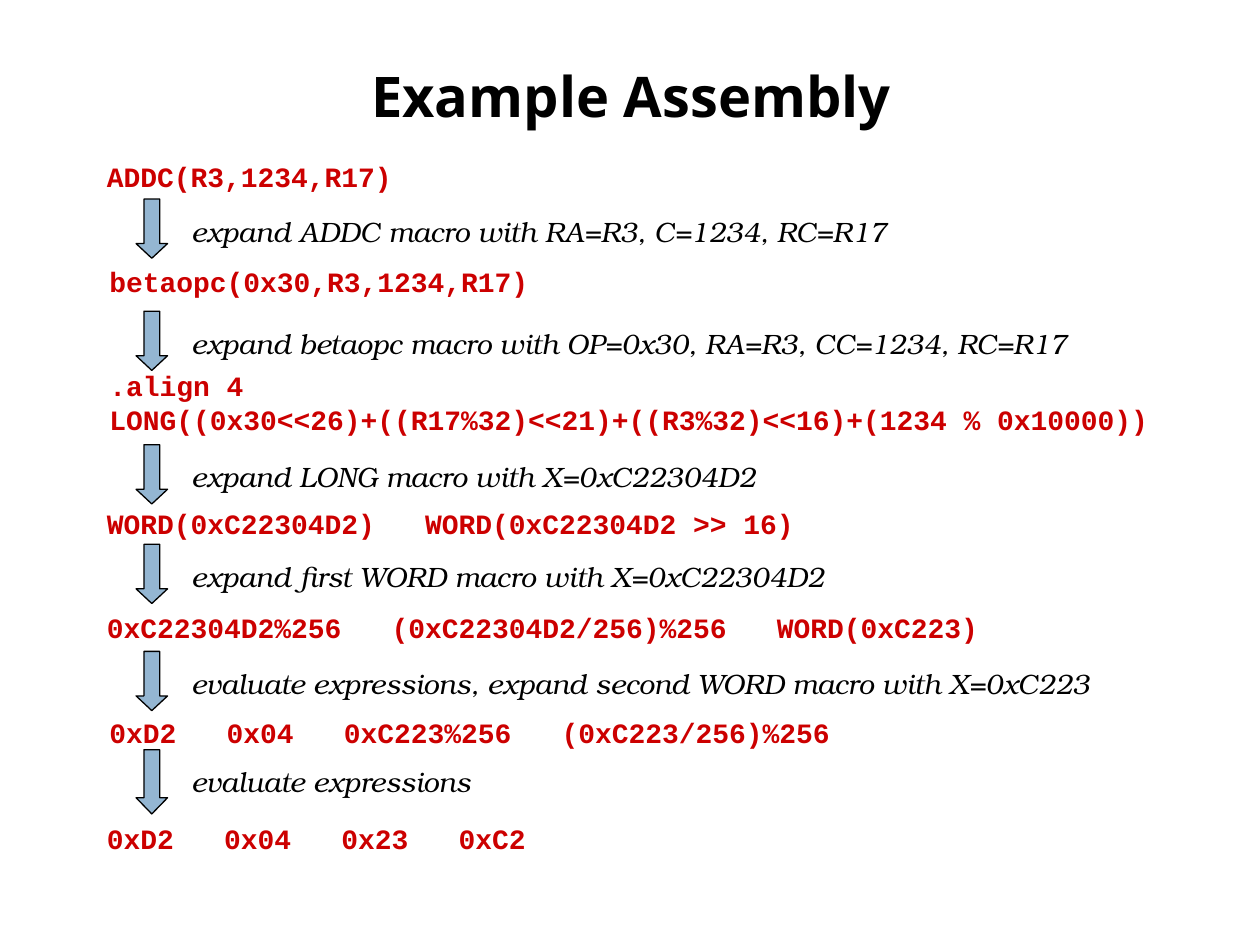
import pptx
import pptx.dml.color
import pptx.enum.shapes
import pptx.enum.text
import pptx.util

Inches = pptx.util.Inches
Pt = pptx.util.Pt
RGBColor = pptx.dml.color.RGBColor

BLACK = RGBColor(0x00, 0x00, 0x00)
RED = RGBColor(0xCC, 0x00, 0x00)
BLUE = RGBColor(0x94, 0xB6, 0xD2)

# Each step: arrow top, arrow height, head ratio,
# note and its width, then code, its left, top and width.
STEPS = [
    (1.58, 0.47, 0.465,
     "expand ADDC macro with RA=R3, C=1234, RC=R17", 5.87,
     "betaopc(0x30,R3,1234,R17)", 0.77, 2.05, 3.53),
    (2.47, 0.47, 0.465,
     "expand betaopc macro with OP=0x30, RA=R3, CC=1234, RC=R17", 7.4,
     ".align 4\n"
     "LONG((0x30<<26)+((R17%32)<<21)+((R3%32)<<16)+(1234 % 0x10000))",
     0.77, 2.88, 8.47),
    (3.53, 0.47, 0.465,
     "expand LONG macro with X=0xC22304D2", 4.85,
     "WORD(0xC22304D2)   WORD(0xC22304D2 >> 16)", 0.75, 3.97, 5.8),
    (4.32, 0.47, 0.465,
     "expand first WORD macro with X=0xC22304D2", 5.38,
     "0xC22304D2%256   (0xC22304D2/256)%256   WORD(0xC223)",
     0.75, 4.8, 7.27),
    (5.17, 0.47, 0.465,
     "evaluate expressions, expand second WORD macro with X=0xC223", 7.52,
     "0xD2   0x04   0xC223%256   (0xC223/256)%256", 0.77, 5.63, 6.07),
    (5.95, 0.51, 0.514,
     "evaluate expressions", 2.52,
     "0xD2   0x04   0x23   0xC2", 0.75, 6.47, 3.53),
]


class Deck:
    title_font = "Open Sans"
    code_font = "Courier New"
    note_font = "TeX Gyre Bonum"
    size = 16

    def __init__(self):
        self.file = pptx.Presentation()
        self.file.slide_width = Inches(10)
        self.file.slide_height = Inches(7.5)
        self.slide = self.file.slides.add_slide(self.file.slide_layouts[5])

    def style(self, frame, name, size, color, bold=False, italic=False):
        for para in frame.paragraphs:
            for run in para.runs:
                font = run.font
                font.name, font.size = name, Pt(size)
                font.bold, font.italic = bold, italic
                font.color.rgb = color

    def title(self, text):
        shape = self.slide.shapes.title
        shape.left, shape.top = Inches(0.76), Inches(0.42)
        shape.width, shape.height = Inches(8.5), Inches(0.67)
        frame = shape.text_frame
        frame.text = text
        frame.vertical_anchor = pptx.enum.text.MSO_ANCHOR.MIDDLE
        frame.paragraphs[0].alignment = pptx.enum.text.PP_ALIGN.CENTER
        self.style(frame, self.title_font, 32, BLACK, bold=True)

    def text(self, shapes, text, left, top, width):
        """Add a box one line of text high for each line, and return its frame."""
        high = 0.37 + 0.27 * text.count("\n")
        box = shapes.add_textbox(
            Inches(left), Inches(top), Inches(width), Inches(high))
        frame = box.text_frame
        frame.text = text
        frame.word_wrap = False
        frame.auto_size = pptx.enum.text.MSO_AUTO_SIZE.SHAPE_TO_FIT_TEXT
        return frame

    def code(self, shapes, text, left, top, width):
        frame = self.text(shapes, text, left, top, width)
        self.style(frame, self.code_font, self.size, RED, bold=True)

    def note(self, shapes, text, top, width):
        frame = self.text(shapes, text, 1.42, top, width)
        self.style(frame, self.note_font, self.size, BLACK, italic=True)

    def arrow(self, shapes, top, high, head):
        shape = shapes.add_shape(
            pptx.enum.shapes.MSO_SHAPE.DOWN_ARROW,
            Inches(1.08), Inches(top), Inches(0.25), Inches(high))
        shape.adjustments[0] = 0.5
        shape.adjustments[1] = head
        shape.shadow.inherit = False
        shape.fill.solid()
        shape.fill.fore_color.rgb = BLUE
        shape.line.color.rgb = BLACK
        shape.line.width = Pt(0.75)

    def step(self, top, high, head, note, wide, code, left, below, width):
        """Group an arrow, its note and the code that results."""
        shapes = self.slide.shapes.add_group_shape().shapes
        self.code(shapes, code, left, below, width)
        self.arrow(shapes, top, high, head)
        self.note(shapes, note, top + 0.07, wide)


def main():
    deck = Deck()
    deck.title("Example Assembly")
    deck.code(deck.slide.shapes, "ADDC(R3,1234,R17)", 0.75, 1.22, 2.47)
    for step in STEPS:
        deck.step(*step)
    deck.file.save("out.pptx")


if __name__ == "__main__":
    main()
